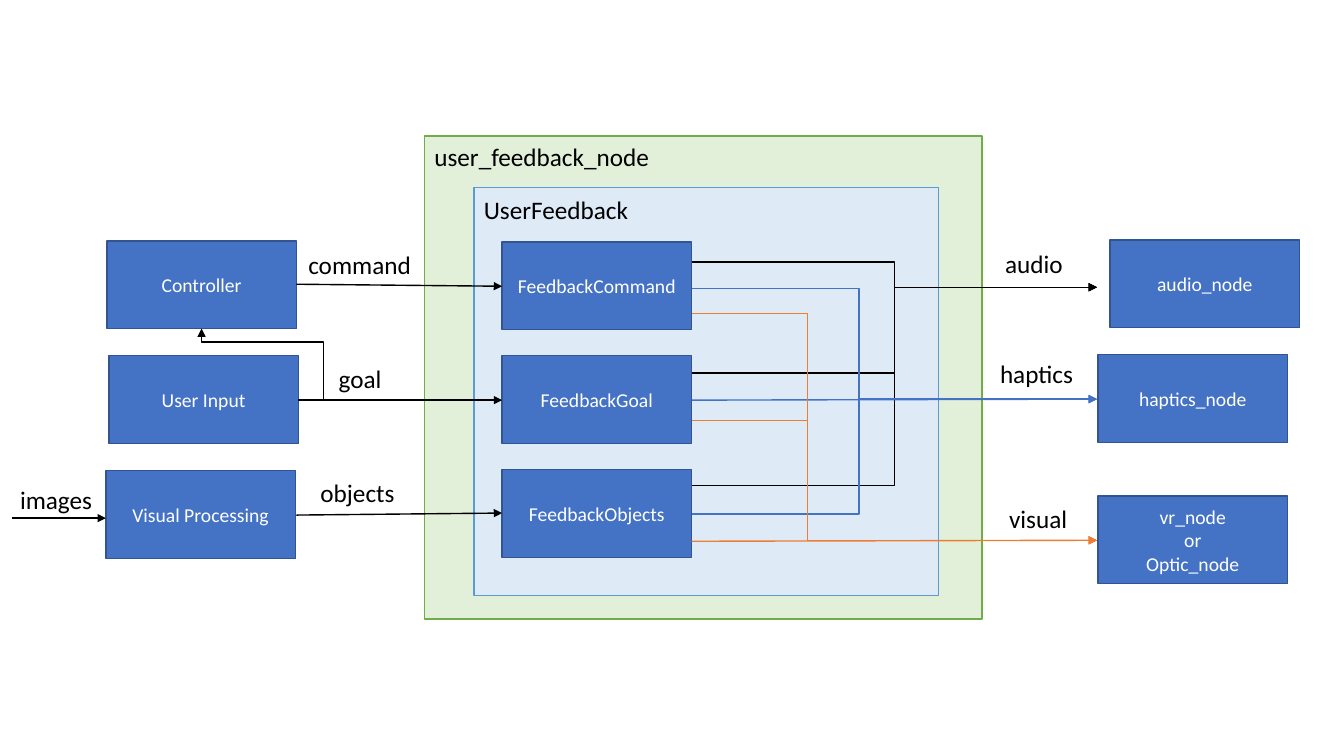
from pptx import Presentation
from pptx.dml.color import RGBColor
from pptx.enum.shapes import MSO_CONNECTOR, MSO_SHAPE
from pptx.enum.text import MSO_ANCHOR, PP_ALIGN
from pptx.oxml.ns import qn
from pptx.util import Inches, Pt
from lxml import etree

RECT = MSO_SHAPE.RECTANGLE
STRAIGHT, ELBOW = MSO_CONNECTOR.STRAIGHT, MSO_CONNECTOR.ELBOW
MIDDLE, CENTER = MSO_ANCHOR.MIDDLE, PP_ALIGN.CENTER

FONT = "Calibri"
HEX = {"black": "000000", "white": "FFFFFF", "blue": "4472C4", "navy": "325491",
       "orange": "ED7D31", "mint": "E2F0D9", "green": "70AD47",
       "pale": "DEEBF7", "sky": "5B9BD5"}

# Content: panels (left, top, width, height, fill, line)
PANELS = [(4.21, 1.35, 5.53, 4.79, "mint", "green"),
          (4.7, 1.86, 4.61, 4.05, "pale", "sky")]

# Node boxes share one size: (left, top, lines of text)
BOX_W, BOX_H = 1.88, 0.87
FEED_X, FEED_Y, STEP = 4.98, 2.4, 1.13
FEEDS = ["FeedbackCommand", "FeedbackGoal", "FeedbackObjects"]
NODES = [(1.06, 2.39, ["Controller"]), (1.08, 3.53, ["User Input"]),
         (1.05, 4.67, ["Visual Processing"]),
         (11.01, 2.38, ["audio_node"]), (10.89, 3.52, ["haptics_node"]),
         (10.89, 4.92, ["vr_node", "or", "Optic_node"])]
NODES += [(FEED_X, FEED_Y + i * STEP, [name]) for i, name in enumerate(FEEDS)]

# Labels: (left, top, width, text)
LABELS = [(4.21, 1.35, 2.58, "user_feedback_node"), (4.7, 1.88, 2.58, "UserFeedback"),
          (2.96, 2.42, 1.27, "command"), (3.26, 3.56, 1.01, "goal"),
          (3.08, 4.69, 1.01, "objects"), (0.1, 4.76, 1.01, "images"),
          (9.87, 2.41, 0.82, "audio"), (9.82, 3.51, 1.05, "haptics"),
          (9.91, 4.94, 1.05, "visual")]

# Input arrows: (x, y, end x, end y)
INPUTS = [(2.94, 2.82, FEED_X, 2.84), (2.96, 3.97, FEED_X, 3.97),
          (2.94, 5.11, FEED_X, 5.09), (0.12, 5.14, 1.05, 5.14)]

# Output buses: (colour, bend x, end y, bent start ys, straight start y)
OUT_X, END_X = FEED_X + BOX_W, 10.88
BUSES = [("black", 8.87, 2.85, [2.6, 3.7, 4.82], None),
         ("blue", 8.52, 3.96, [2.86, 5.1], 3.97),
         ("orange", 8.01, 5.36, [3.11, 4.17], 5.37)]

deck = Presentation()
deck.slide_width, deck.slide_height = Inches(13.33), Inches(7.5)
slide = deck.slides.add_slide(deck.slide_layouts[6])


def tint(name):
    return RGBColor.from_string(HEX[name])


def style(par, size, color):
    par.font.name, par.font.size = FONT, Pt(size)
    par.font.color.rgb = tint(color)


def block(x, y, w, h, fill, edge):
    shape = slide.shapes.add_shape(RECT, *map(Inches, (x, y, w, h)))
    shape.shadow.inherit = False
    shape.fill.solid()
    shape.fill.fore_color.rgb = tint(fill)
    shape.line.color.rgb = tint(edge)
    shape.line.width = Pt(1)
    return shape


def arrow(x, y, end_x, end_y, color, bends=()):
    """Bends are shares of the width and height, in turn."""
    kind = ELBOW if bends else STRAIGHT
    link = slide.shapes.add_connector(kind, *map(Inches, (x, y, end_x, end_y)))
    link.line.color.rgb = tint(color)
    link.line.width = Pt(1)
    props = link._element.spPr
    etree.SubElement(link.line._get_or_add_ln(), qn("a:tailEnd"), type="triangle")
    etree.SubElement(props, qn("a:effectLst"))
    if bends:
        geom = props.find(qn("a:prstGeom"))
        geom.set("prst", f"bentConnector{len(bends) + 2}")
        guides = geom.find(qn("a:avLst"))
        for i, share in enumerate(bends, 1):
            etree.SubElement(guides, qn("a:gd"), name=f"adj{i}",
                             fmla=f"val {round(share * 100000)}")


# Panels and nodes
for panel in PANELS:
    block(*panel)
for x, y, lines in NODES:
    frame = block(x, y, BOX_W, BOX_H, "blue", "navy").text_frame
    frame.vertical_anchor = MIDDLE
    frame.text = "\n".join(lines)
    for par in frame.paragraphs:
        par.alignment = CENTER
        style(par, 14, "white")

# Input arrows, and the goal's branch up to the controller
for ends in INPUTS:
    arrow(*ends, "black")
arrow(2.96, 3.97, 2, 3.26, "black", (-0.26, 0.81))

# Output buses
for color, bend, end_y, starts, level in BUSES:
    for y in starts:
        arrow(OUT_X, y, END_X, end_y, color, [(bend - OUT_X) / (END_X - OUT_X)])
    if level:
        arrow(OUT_X, level, END_X, end_y, color)

# Labels
for x, y, w, text in LABELS:
    frame = slide.shapes.add_textbox(*map(Inches, (x, y, w, 0.4))).text_frame
    frame.word_wrap = True
    frame.text = text
    style(frame.paragraphs[0], 18, "black")

deck.save("out.pptx")
